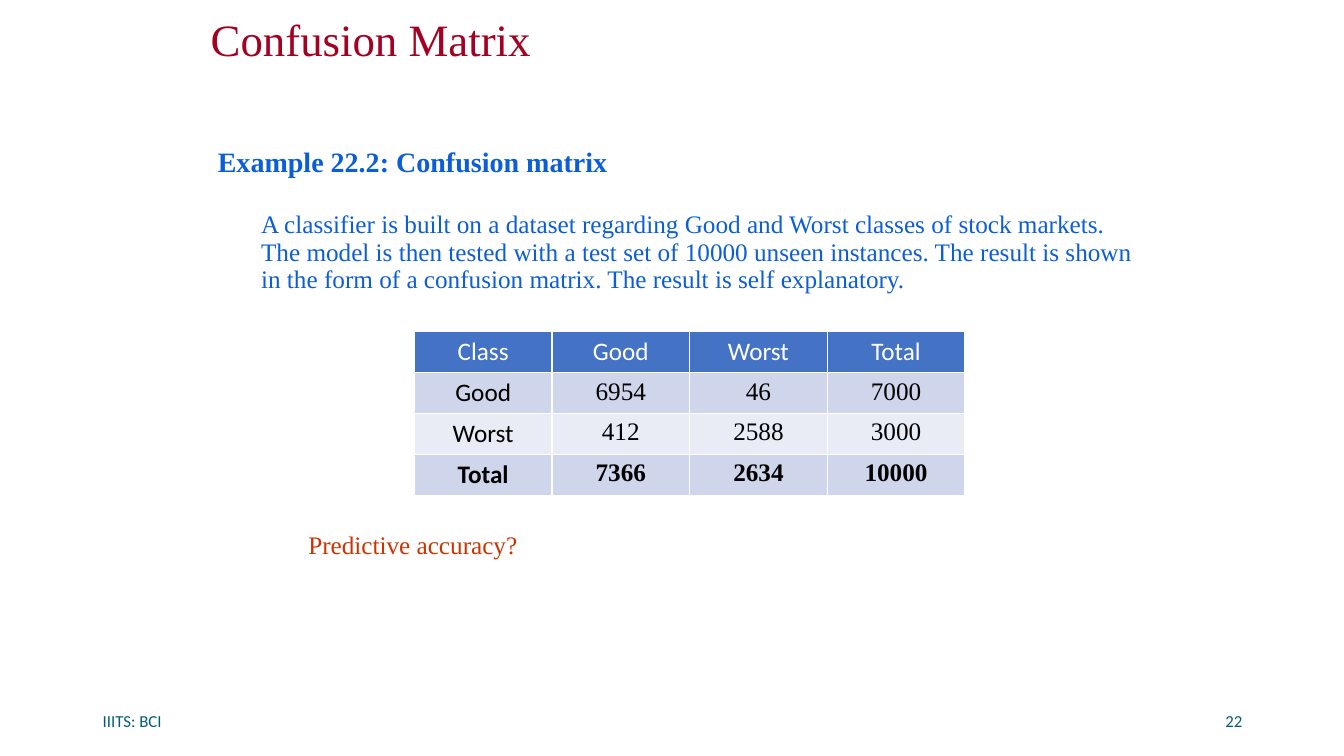
from pptx import Presentation
from pptx.dml.color import RGBColor
from pptx.enum.text import MSO_ANCHOR as Anchor, MSO_AUTO_SIZE as AutoSize, PP_ALIGN as Align
from pptx.oxml.ns import qn
from pptx.util import Inches, Pt

CRIMSON = RGBColor(0xA5, 0x00, 0x21)
BLUE = RGBColor(0x0B, 0x5E, 0xD7)
TEAL = RGBColor(0x04, 0x5D, 0x75)
ORANGE = RGBColor(0xCC, 0x33, 0x00)
WHITE = RGBColor(0xFF, 0xFF, 0xFF)
BLACK = RGBColor(0x00, 0x00, 0x00)
HEADER_FILL = RGBColor(0x44, 0x72, 0xC4)
BAND_FILLS = [RGBColor(0xE9, 0xEB, 0xF5), RGBColor(0xCF, 0xD5, 0xEA)]
SERIF, SANS = "Times New Roman", "Calibri"


def place(shape, left, top, width, height):
    shape.left, shape.top = Inches(left), Inches(top)
    shape.width, shape.height = Inches(width), Inches(height)


def format_paragraph(paragraph, size, name, color, bold=False, align=Align.LEFT):
    paragraph.alignment = align
    font = paragraph.font
    font.size, font.name, font.bold = Pt(size), name, bold
    font.color.rgb = color


presentation = Presentation()
presentation.slide_width, presentation.slide_height = Inches(13.33), Inches(7.5)
slide = presentation.slides.add_slide(presentation.slide_layouts[1])

# Title
title = slide.shapes.title
place(title, 1.99, 0.07, 9.21, 0.69)
title.text_frame.text = "Confusion Matrix"
title.text_frame.auto_size = AutoSize.NONE
title.text_frame.vertical_anchor = Anchor.MIDDLE
title.text_frame.paragraphs[0].line_spacing = 0.9
format_paragraph(title.text_frame.paragraphs[0], 32, SERIF, CRIMSON)

# Example heading and description
body = slide.placeholders[1]
place(body, 2.06, 1.42, 9.3, 4.84)
frame = body.text_frame
frame.auto_size = AutoSize.NONE
example = [
    ("Example 22.2: Confusion matrix", 0, 0, 20, True, 0),
    ("A classifier is built on a dataset regarding Good and Worst classes of stock "
     "markets. The model is then tested with a test set of 10000 unseen instances. "
     "The result is shown in the form of a confusion matrix. The result is self "
     "explanatory.", 1, 0.43, 18, False, 24),
]
frame.text = "\n".join(item[0] for item in example)
for paragraph, (_, level, indent, size, bold, space) in zip(frame.paragraphs, example):
    paragraph.level = level
    properties = paragraph._p.get_or_add_pPr()
    properties.set("marL", str(Inches(indent)))
    properties.set("indent", "0")
    properties.append(properties.makeelement(qn("a:buNone"), {}))
    paragraph.line_spacing = 0.9
    paragraph.space_before = Pt(space)
    format_paragraph(paragraph, size, SERIF, BLUE, bold)

# Confusion matrix
matrix = [
    ["Class", "Good", "Worst", "Total"],
    ["Good", "6954", "46", "7000"],
    ["Worst", "412", "2588", "3000"],
    ["Total", "7366", "2634", "10000"],
]
table = slide.shapes.add_table(
    len(matrix), len(matrix[0]), Inches(4.11), Inches(3.29), Inches(5.46), Inches(1.62)
).table
for row, values in enumerate(matrix):
    for column, value in enumerate(values):
        cell = table.cell(row, column)
        cell.text = value
        cell.fill.solid()
        cell.fill.fore_color.rgb = BAND_FILLS[row % 2] if row else HEADER_FILL
        format_paragraph(
            cell.text_frame.paragraphs[0], 18,
            SERIF if row and column else SANS,
            BLACK if row else WHITE,
            row == len(matrix) - 1, Align.CENTER,
        )

# Question, footer and slide number
labels = [
    ("Predictive accuracy?", 2.96, 5.2, 2.3, 18, SERIF, ORANGE, Align.LEFT),
    ("IIITS: BCI", 0.92, 6.95, 3, 12, SANS, TEAL, Align.LEFT),
    ("22", 9.42, 6.95, 3, 12, SANS, TEAL, Align.RIGHT),
]
for text, left, top, width, size, name, color, align in labels:
    label = slide.shapes.add_textbox(Inches(left), Inches(top), Inches(width), Inches(0.4))
    label.text_frame.text = text
    label.text_frame.word_wrap = True
    label.text_frame.vertical_anchor = Anchor.MIDDLE
    format_paragraph(label.text_frame.paragraphs[0], size, name, color, align=align)

presentation.save("out.pptx")
